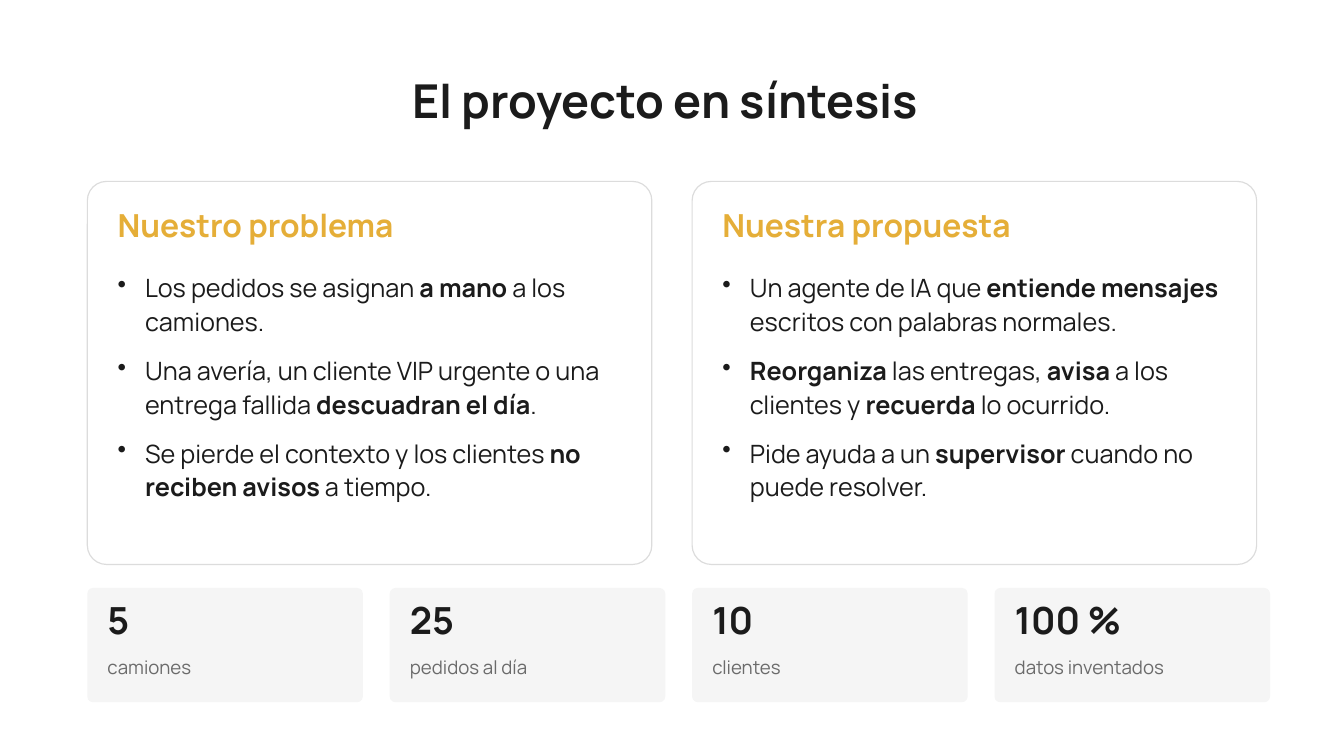
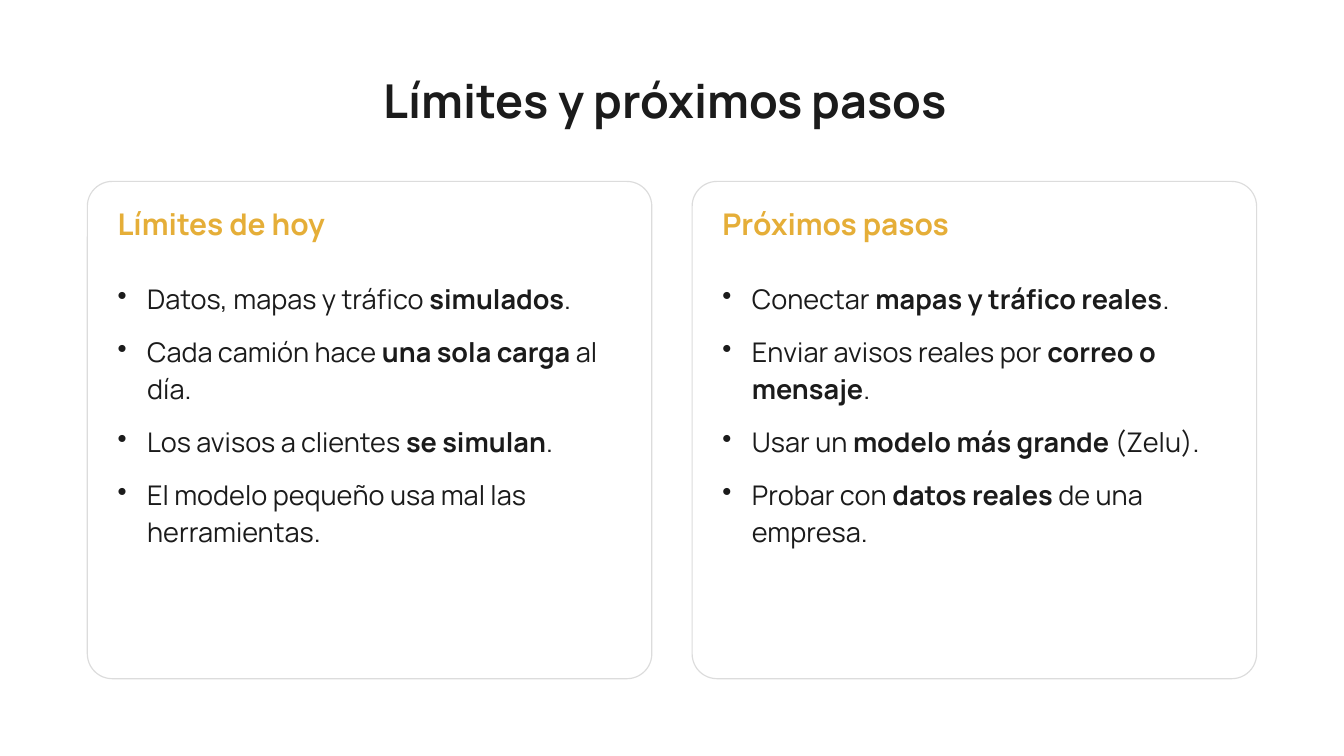
import pptx
import pptx.dml.color
import pptx.enum.shapes
import pptx.enum.text
import pptx.util
from lxml import etree

RGBColor = pptx.dml.color.RGBColor
Inches = pptx.util.Inches
Align = pptx.enum.text.PP_ALIGN
Anchor = pptx.enum.text.MSO_ANCHOR

INK = RGBColor(0x1B, 0x1B, 0x1B)
GOLD = RGBColor(0xE5, 0xAE, 0x38)
GREY = RGBColor(0x6B, 0x6B, 0x6B)
BORDER = RGBColor(0xDC, 0xDC, 0xDC)
WHITE = RGBColor(0xFF, 0xFF, 0xFF)
PALE = RGBColor(0xF5, 0xF5, 0xF5)
FONT = "Manrope"

SLIDE_WIDTH, SLIDE_HEIGHT = 20, 11.25
MARGIN = 1.3
COLUMN = 4.5  # four columns; a card spans two
CARD_TOP, CARD_WIDTH, CARD_PADDING = 2.7, 8.4, 0.45
STAT_TOP, STAT_WIDTH, STAT_HEIGHT, STAT_PADDING = 8.75, 4.1, 1.7, 0.3


def column_left(index):
    return MARGIN + COLUMN * index


def add_bullet(paragraph, indent):
    properties = paragraph._p.get_or_add_pPr()
    properties.set("marL", str(Inches(indent)))
    properties.set("indent", str(-Inches(indent)))
    bullet = etree.SubElement(properties, pptx.oxml.ns.qn("a:buChar"))
    bullet.set("char", "•")


def write(frame, *lines, size, color=INK, bold=False, align=Align.LEFT,
          anchor=Anchor.TOP, spacing=1.12, after=8, indent=None):
    """Fill a frame with one paragraph per line; **marks** switch bold on and off."""
    frame.word_wrap = True
    frame.auto_size = pptx.enum.text.MSO_AUTO_SIZE.SHAPE_TO_FIT_TEXT
    frame.vertical_anchor = anchor
    frame.margin_left = frame.margin_right = frame.margin_top = frame.margin_bottom = 0
    for number, line in enumerate(lines):
        paragraph = frame.add_paragraph() if number else frame.paragraphs[0]
        if indent:
            add_bullet(paragraph, indent)
        paragraph.alignment = align
        paragraph.line_spacing = spacing
        paragraph.space_after = pptx.util.Pt(after)
        for position, part in enumerate(line.split("**")):
            if part:
                run = paragraph.add_run()
                run.text = part
                run.font.name = FONT
                run.font.size = pptx.util.Pt(size)
                run.font.color.rgb = color
                run.font.bold = bold or position % 2 == 1


def add_text(slide, left, top, width, height, *lines, **style):
    box = slide.shapes.add_textbox(*map(Inches, (left, top, width, height)))
    write(box.text_frame, *lines, **style)


def add_panel(slide, left, top, width, height, fill, border=None):
    panel = slide.shapes.add_shape(
        pptx.enum.shapes.MSO_SHAPE.ROUNDED_RECTANGLE,
        *map(Inches, (left, top, width, height)))
    panel.adjustments[0] = 0.05
    panel.shadow.inherit = False
    panel.fill.solid()
    panel.fill.fore_color.rgb = fill
    if border is None:
        panel.line.fill.background()
    else:
        panel.line.color.rgb = border
        panel.line.width = pptx.util.Pt(1.25)


def add_titled_slide(deck, heading):
    slide = deck.slides.add_slide(deck.slide_layouts.get_by_name("Title Only"))
    title = slide.shapes.title
    title.left, title.top, title.width, title.height = map(Inches, (2.4, 0.78, 15, 1.4))
    write(title.text_frame, heading, size=50, bold=True, align=Align.CENTER,
          anchor=Anchor.MIDDLE, spacing=1.0, after=0)
    return slide


def add_cards(slide, cards, height, heading_size, heading_height,
              list_top, list_height, **list_style):
    for index, (heading, points) in enumerate(cards):
        left = column_left(2 * index)
        inner_left, inner_width = left + CARD_PADDING, CARD_WIDTH - 2 * CARD_PADDING
        add_panel(slide, left, CARD_TOP, CARD_WIDTH, height, WHITE, BORDER)
        add_text(slide, inner_left, CARD_TOP + 0.3, inner_width, heading_height,
                 heading, size=heading_size, color=GOLD, bold=True)
        add_text(slide, inner_left, list_top, inner_width, list_height,
                 *points, **list_style)


def add_stats(slide, stats):
    for index, (figure, label) in enumerate(stats):
        left = column_left(index)
        add_panel(slide, left, STAT_TOP, STAT_WIDTH, STAT_HEIGHT, PALE)
        left += STAT_PADDING
        add_text(slide, left, STAT_TOP + 0.05, 3.5, 0.9, figure, size=40, bold=True)
        add_text(slide, left, STAT_TOP + 0.97, 3.6, 0.6, label, size=20, color=GREY)


def main():
    deck = pptx.Presentation()
    deck.slide_width, deck.slide_height = Inches(SLIDE_WIDTH), Inches(SLIDE_HEIGHT)

    summary = add_titled_slide(deck, "El proyecto en síntesis")
    add_cards(summary, [
        ("Nuestro problema", [
            "Los pedidos se asignan **a mano** a los camiones.",
            "Una avería, un cliente VIP urgente o una entrega fallida "
            "**descuadran el día**.",
            "Se pierde el contexto y los clientes **no reciben avisos** a tiempo.",
        ]),
        ("Nuestra propuesta", [
            "Un agente de IA que **entiende mensajes** escritos con palabras normales.",
            "**Reorganiza** las entregas, **avisa** a los clientes y "
            "**recuerda** lo ocurrido.",
            "Pide ayuda a un **supervisor** cuando no puede resolver.",
        ]),
    ], height=5.7, heading_size=34, heading_height=0.8,
        list_top=4, list_height=4.3, size=27, after=16, indent=0.41)
    add_stats(summary, [
        ("5", "camiones"),
        ("25", "pedidos al día"),
        ("10", "clientes"),
        ("100 %", "datos inventados"),
    ])

    outlook = add_titled_slide(deck, "Límites y próximos pasos")
    add_cards(outlook, [
        ("Límites de hoy", [
            "Datos, mapas y tráfico **simulados**.",
            "Cada camión hace **una sola carga** al día.",
            "Los avisos a clientes **se simulan**.",
            "El modelo pequeño usa mal las herramientas.",
        ]),
        ("Próximos pasos", [
            "Conectar **mapas y tráfico reales**.",
            "Enviar avisos reales por **correo o mensaje**.",
            "Usar un **modelo más grande** (Zelu).",
            "Probar con **datos reales** de una empresa.",
        ]),
    ], height=7.4, heading_size=32, heading_height=0.9,
        list_top=4.15, list_height=5.8, size=29, after=18, indent=0.44)

    deck.save("out.pptx")


if __name__ == "__main__":
    main()
